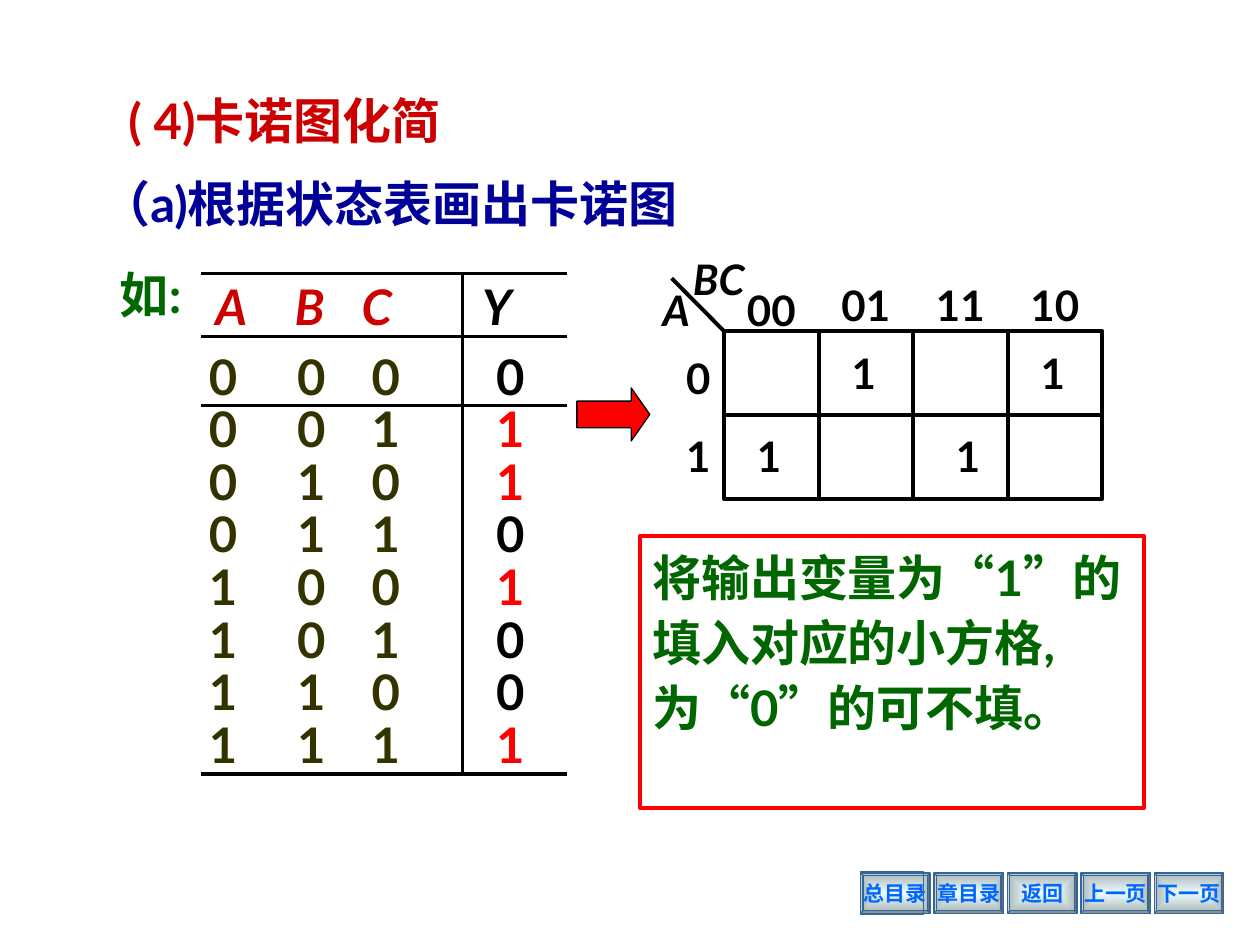
from dataclasses import dataclass

from lxml import etree
from pptx import Presentation
from pptx.dml.color import RGBColor
from pptx.enum.shapes import MSO_CONNECTOR, MSO_SHAPE
from pptx.enum.text import MSO_ANCHOR, MSO_AUTO_SIZE, PP_ALIGN
from pptx.oxml import parse_xml
from pptx.oxml.ns import nsdecls, qn
from pptx.util import Cm, Pt

LEFT, CENTER = PP_ALIGN.LEFT, PP_ALIGN.CENTER
TOP, MIDDLE, BOTTOM = MSO_ANCHOR.TOP, MSO_ANCHOR.MIDDLE, MSO_ANCHOR.BOTTOM
GROW = MSO_AUTO_SIZE.SHAPE_TO_FIT_TEXT
STRAIGHT = MSO_CONNECTOR.STRAIGHT
RECTANGLE, ARROW, BEVEL = MSO_SHAPE.RECTANGLE, MSO_SHAPE.RIGHT_ARROW, MSO_SHAPE.BEVEL

COLORS = {
    "black": "000000", "red": "FF0000", "title": "CC0000", "step": "000099",
    "green": "006600", "input": "333300", "button_text": "0066FF",
    "button_edge": "336699", "button_light": "ECFDFE", "button_dark": "AAB6B7",
}
NO_TABLE_STYLE = "{2D5ABB26-0587-4C30-8999-92F81FD0307C}"
BODY_FONT, BUTTON_FONT = "Lato", "Times New Roman"
LINE_WIDTH = 2.25

# Truth table, in cm
TABLE_LEFT, TABLE_TOP = 4.06, 5.51
COLUMN_WIDTHS = (1.73, 1.5, 2.03, 2.11)
ROW_HEIGHTS = (1.27, 1.4) + (1.06,) * 7
HEADER_INDENTS = (0.28, 0.15, 0, 0.4)
DIGIT_INDENTS = (0.15, 0.2, 0.2, 0.68)
HEADER = "ABCY"
OUTPUTS = "01101001"

# Karnaugh map, in cm
MAP_LEFT, MAP_TOP = 14.6, 6.68
HALF_WIDTH, MAP_HEIGHT = 3.81, 3.38
CELL_WIDTH = HALF_WIDTH / 2

BUTTONS = ("总目录", "章目录", "返回", "上一页", "下一页")
BUTTON_LEFT, BUTTON_TOP, BUTTON_PITCH = 17.35, 17.6, 1.48


@dataclass(frozen=True)
class Label:
    text: str
    left: float
    top: float
    width: float
    height: float
    color: str = "black"
    size: float = 24
    italic: bool = False
    align: PP_ALIGN = CENTER
    anchor: MSO_ANCHOR = TOP
    wrap: bool = False
    spacing: float = 1.1
    before: float = 3


def rgb(color: str) -> RGBColor:
    return RGBColor.from_string(COLORS[color])


def set_values(target, values: dict) -> None:
    for name, value in values.items():
        setattr(target, name, value)


def write(frame, text: str, color: str, size: float, font: str = BODY_FONT,
          italic: bool = False, **paragraph_format) -> None:
    paragraph = frame.paragraphs[0]
    set_values(paragraph, paragraph_format)
    run = paragraph.add_run()
    run.text = text
    set_values(run.font, {"name": font, "size": Pt(size), "bold": True, "italic": italic})
    run.font.color.rgb = rgb(color)


def fill_label(frame, label: Label) -> None:
    set_values(frame, {"word_wrap": label.wrap, "auto_size": GROW,
                       "vertical_anchor": label.anchor})
    write(frame, label.text, label.color, label.size, italic=label.italic,
          alignment=label.align, line_spacing=label.spacing, space_before=Pt(label.before))


def add_label(slide, label: Label) -> None:
    box = slide.shapes.add_textbox(Cm(label.left), Cm(label.top),
                                   Cm(label.width), Cm(label.height))
    fill_label(box.text_frame, label)


def add_outline(slide, kind: MSO_SHAPE, left: float, top: float, width: float,
                height: float, edge: str = "black", line_width: float = LINE_WIDTH):
    """Add an unfilled preset shape with a coloured edge."""
    shape = slide.shapes.add_shape(kind, Cm(left), Cm(top), Cm(width), Cm(height))
    shape.shadow.inherit = False
    shape.fill.background()
    shape.line.color.rgb = rgb(edge)
    shape.line.width = Pt(line_width)
    return shape


def add_line(slide, start: tuple[float, float], end: tuple[float, float]):
    line = slide.shapes.add_connector(STRAIGHT, *map(Cm, start + end))
    line.line.color.rgb = rgb("black")
    line.line.width = Pt(LINE_WIDTH)
    etree.SubElement(line._element.spPr, qn("a:effectLst"))
    return line


def add_button(slide, text: str, left: float) -> None:
    button = add_outline(slide, BEVEL, left, BUTTON_TOP, 1.4, 0.81, "button_edge", 0.75)
    button.adjustments[0] = 0.06
    button.fill.gradient()
    for stop, color in zip(button.fill.gradient_stops, ("button_light", "button_dark")):
        stop.color.rgb = rgb(color)
    gradient = button._element.spPr.find(qn("a:gradFill"))
    gradient.replace(gradient.find(qn("a:lin")), parse_xml(
        f'<a:path {nsdecls("a")} path="rect">'
        '<a:fillToRect l="50000" t="50000" r="50000" b="50000"/></a:path>'))
    set_values(button.text_frame, {"word_wrap": False, "vertical_anchor": MIDDLE})
    write(button.text_frame, text, "button_text", 12, BUTTON_FONT, alignment=CENTER)


def add_borders(cell, sides: str) -> None:
    """Draw black borders on the given sides, listed in the order L, R, T, B."""
    for position, side in enumerate(sides):
        cell._tc.get_or_add_tcPr().insert(position, parse_xml(
            f'<a:ln{side} {nsdecls("a")} w="{Pt(LINE_WIDTH)}"><a:solidFill>'
            f'<a:srgbClr val="{COLORS["black"]}"/></a:solidFill></a:ln{side}>'))


def add_truth_table(slide) -> None:
    rows = [HEADER] + [f"{index:03b}{output}" for index, output in enumerate(OUTPUTS)]
    table = slide.shapes.add_table(
        len(rows), len(HEADER), Cm(TABLE_LEFT), Cm(TABLE_TOP),
        Cm(sum(COLUMN_WIDTHS)), Cm(sum(ROW_HEIGHTS))).table
    set_values(table, {"first_row": False, "horz_banding": False})
    table._tbl.tblPr.find(qn("a:tableStyleId")).text = NO_TABLE_STYLE
    for column, width in zip(table.columns, COLUMN_WIDTHS):
        column.width = Cm(width)
    for r, values in enumerate(rows):
        table.rows[r].height = Cm(ROW_HEIGHTS[r])
        is_header = r == 0
        for c, value in enumerate(values):
            is_output = c == 3
            indent = (HEADER_INDENTS if is_header else DIGIT_INDENTS)[c]
            if is_output:
                color = "red" if value == "1" else "black"
            else:
                color = "title" if is_header else "input"
            cell = table.cell(r, c)
            set_values(cell, {"margin_left": Cm(indent), "margin_right": 0, "margin_top": 0,
                              "margin_bottom": 0, "vertical_anchor": BOTTOM})
            cell.fill.background()
            add_borders(cell, {2: "R", 3: "L"}.get(c, "") + ("T" if r < 2 else "")
                        + ("B" if r in (0, len(rows) - 1) else ""))
            write(cell.text_frame, value, color, 28, italic=is_header, line_spacing=Pt(28))


def add_karnaugh_map(slide) -> None:
    add_line(slide, (MAP_LEFT, MAP_TOP), (13.54, 5.61))
    for half in range(2):
        left = MAP_LEFT + half * HALF_WIDTH
        middle_x, middle_y = left + CELL_WIDTH, MAP_TOP + MAP_HEIGHT / 2
        frame = add_outline(slide, RECTANGLE, left, MAP_TOP, HALF_WIDTH, MAP_HEIGHT)
        across = add_line(slide, (left, middle_y), (left + HALF_WIDTH, middle_y))
        down = add_line(slide, (middle_x, MAP_TOP), (middle_x, MAP_TOP + MAP_HEIGHT))
        for divider, first, last in ((across, 1, 3), (down, 0, 2)):
            divider.begin_connect(frame, first)
            divider.end_connect(frame, last)

    heading = {"height": 1.37, "anchor": MIDDLE, "wrap": True, "before": 15}
    add_label(slide, Label("A", 12.9, 5.51, 1.47, italic=True, **heading))
    add_label(slide, Label("BC", 13.54, 4.88, 1.9, italic=True, **heading))
    for column, (code, top) in enumerate(zip(("00", "01", "11", "10"), (5.51, 5.41, 5.41, 5.41))):
        add_label(slide, Label(code, MAP_LEFT + column * CELL_WIDTH, top, 1.9, **heading))
    for code, top in (("0", 6.88), ("1", 8.46)):
        add_label(slide, Label(code, 13.34, top, 1.47, **heading))
    for left, top in ((16.92, 6.78), (20.73, 6.78), (15.01, 8.46), (19.02, 8.46)):
        add_label(slide, Label("1", left, top, 0.97, 1.37))


def main() -> None:
    presentation = Presentation()
    presentation.slide_width, presentation.slide_height = Cm(25.4), Cm(19.05)
    slide = presentation.slides.add_slide(presentation.slide_layouts[6])

    for index, text in enumerate(BUTTONS):
        add_button(slide, text, BUTTON_LEFT + index * BUTTON_PITCH)
    add_outline(slide, RECTANGLE, BUTTON_LEFT, 17.58, 1.27, 0.86, "button_edge", 0.75)

    add_label(slide, Label("( 4)卡诺图化简", 2.34, 1.7, 8.97, 1.45, "title", 28,
                           align=LEFT, wrap=True, spacing=1, before=0))
    add_label(slide, Label("（a)根据状态表画出卡诺图", 1.45, 3.25, 12.8, 1.57, "step", 28, before=3.5))
    add_label(slide, Label("如:", 2.01, 5.08, 2.06, 1.57, "green", 28, before=3.5))

    add_karnaugh_map(slide)
    arrow = add_outline(slide, ARROW, 11.63, 7.82, 1.47, 1.07, line_width=0.75)
    arrow.adjustments[1] = 0.35
    arrow.fill.solid()
    arrow.fill.fore_color.rgb = rgb("red")

    rule = Label("将输出变量为“1”的填入对应的小方格,为“0”的可不填。", 12.9, 10.8, 10.16, 5.49,
                 "green", 28, align=LEFT, wrap=True, before=3.5)
    rule_box = add_outline(slide, RECTANGLE, rule.left, rule.top, rule.width, rule.height, "red")
    fill_label(rule_box.text_frame, rule)
    add_truth_table(slide)
    presentation.save("out.pptx")


if __name__ == "__main__":
    main()
